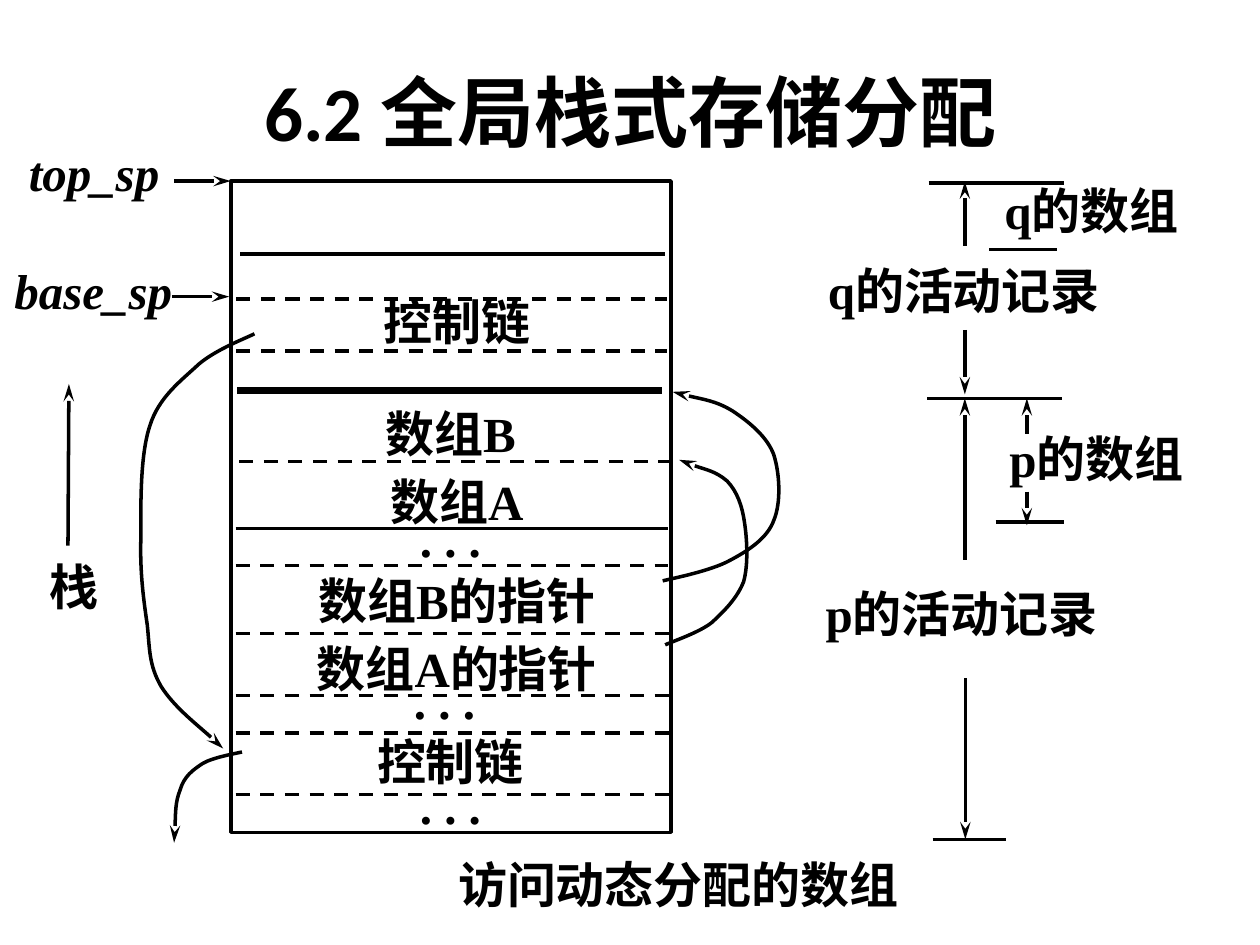
import pptx
import pptx.dml.color
import pptx.enum.dml
import pptx.enum.shapes
import pptx.enum.text
import pptx.oxml
import pptx.oxml.ns
import pptx.util
from pptx.util import Cm

BLACK = pptx.dml.color.RGBColor(0x00, 0x00, 0x00)
WHITE = pptx.dml.color.RGBColor(0xFF, 0xFF, 0xFF)
DRAWING_SPACE = pptx.oxml.ns.nsdecls("a")


def write_span(para, text, font="Times New Roman", size=28, bold=True, italic=False):
    span = para.add_run()
    span.text = text
    span.font.name = font
    span.font.size = pptx.util.Pt(size)
    span.font.bold = bold
    span.font.italic = italic
    span.font.color.rgb = BLACK


def bend(shape):
    """Turn each three straight steps of an outline into one cubic curve."""
    steps = list(shape.element.iter(pptx.oxml.ns.qn("a:lnTo")))
    for first in range(0, len(steps), 3):
        cubic = pptx.oxml.parse_xml(f"<a:cubicBezTo {DRAWING_SPACE}/>")
        steps[first].addprevious(cubic)
        for step in steps[first:first + 3]:
            cubic.append(step[0])
            step.getparent().remove(step)


class StackPage:
    """Holds the line style and the current slide; all lengths are centimetres."""

    line_width = 2
    label_insets = (0.25, 0.23, 0.25, 0.13)

    def __init__(self, deck):
        self.page = deck.slides.add_slide(deck.slide_layouts[6])
        self.page.background.fill.solid()
        self.page.background.fill.fore_color.rgb = WHITE
        self.shapes = self.page.shapes

    def start_group(self):
        self.shapes = self.page.shapes.add_group_shape().shapes

    def stroke(self, item, width=None, dashed=False, arrow=False):
        item.line.color.rgb = BLACK
        item.line.width = pptx.util.Pt(width or self.line_width)
        if dashed:
            item.line.dash_style = pptx.enum.dml.MSO_LINE.DASH
        if arrow:
            outline = item.element.spPr.find(pptx.oxml.ns.qn("a:ln"))
            outline.append(pptx.oxml.parse_xml(
                f'<a:tailEnd {DRAWING_SPACE} type="stealth" w="med" len="lg"/>'))

    def line(self, x1, y1, x2, y2, **style):
        connector = self.shapes.add_connector(
            pptx.enum.shapes.MSO_CONNECTOR.STRAIGHT, Cm(x1), Cm(y1), Cm(x2), Cm(y2))
        self.stroke(connector, **style)
        connector.element.spPr.append(
            pptx.oxml.parse_xml(f"<a:effectLst {DRAWING_SPACE}/>"))

    def curve(self, start, *segments):
        builder = self.shapes.build_freeform(Cm(start[0]), Cm(start[1]))
        builder.add_line_segments(
            [(Cm(x), Cm(y)) for segment in segments for x, y in segment], close=False)
        shape = builder.convert_to_shape()
        bend(shape)
        shape.fill.background()
        shape.shadow.inherit = False
        self.stroke(shape, arrow=True)

    def frame(self, left, top, width, height):
        shape = self.shapes.add_shape(
            pptx.enum.shapes.MSO_SHAPE.RECTANGLE, Cm(left), Cm(top), Cm(width), Cm(height))
        shape.fill.background()
        shape.shadow.inherit = False
        self.stroke(shape)

    def label(self, text, left, top, width, height=1.37, insets=label_insets,
              anchor=pptx.enum.text.MSO_ANCHOR.TOP, **style):
        box = self.shapes.add_textbox(Cm(left), Cm(top), Cm(width), Cm(height))
        frame = box.text_frame
        frame.word_wrap = True
        frame.vertical_anchor = anchor
        (frame.margin_left, frame.margin_top,
         frame.margin_right, frame.margin_bottom) = map(Cm, insets)
        para = frame.paragraphs[0]
        para.alignment = pptx.enum.text.PP_ALIGN.CENTER
        write_span(para, text, **style)
        return para


def main():
    deck = pptx.Presentation()
    deck.slide_width, deck.slide_height = Cm(25.4), Cm(19.05)
    page = StackPage(deck)

    # Title and caption
    plain_insets = (0.25, 0.13, 0.25, 0.13)
    page.label("6.2 全局栈式存储分配", 0.43, 0.64, 24.56, 3.18, insets=plain_insets,
               anchor=pptx.enum.text.MSO_ANCHOR.MIDDLE, font="Calibri", size=44)
    page.label("访问动态分配的数组", 5.05, 17.09, 17.25, 1.42, insets=plain_insets)

    # Activation records: limits, labels and extent arrows
    page.start_group()
    for left, right, y in ((19.94, 21.31, 5.03), (18.8, 20.27, 16.92),
                           (18.69, 21.41, 8.03), (18.72, 21.44, 3.69),
                           (20.07, 21.44, 10.52)):
        page.line(left, y, right, y)
    for text, left, top, width in (("q的数组", 19.56, 3.4, 4.88),
                                   ("q的活动记录", 16.33, 5.03, 6.2),
                                   ("p的数组", 19.58, 8.41, 5.05),
                                   ("p的活动记录", 16.31, 11.53, 6.15)):
        page.label(text, left, top, width)
    for x, start, end in ((19.45, 6.65, 7.95), (19.46, 13.67, 16.92),
                          (20.7, 9.91, 10.59), (19.45, 11.28, 8.03),
                          (20.7, 8.74, 8.03), (19.45, 4.95, 3.66)):
        page.line(x, start, x, end, arrow=True)

    # Stack frame and its dividers
    page.start_group()
    page.frame(4.66, 3.65, 8.87, 13.13)
    for left, right, y in ((4.76, 13.44, 6.03), (4.76, 13.44, 7.08),
                           (4.82, 13.49, 9.3), (4.75, 13.46, 11.4),
                           (4.75, 13.54, 12.77), (4.75, 13.54, 14.02),
                           (4.75, 13.54, 14.78), (4.75, 13.54, 16.02)):
        page.line(left, y, right, y, dashed=True)
    page.line(4.84, 5.12, 13.41, 5.12)
    page.line(4.78, 7.88, 13.34, 7.88, width=4)
    page.line(4.75, 10.65, 13.46, 10.65)

    # Stack contents
    for text, left, top in (("控制链", 4.75, 5.64), ("数组B", 4.62, 7.9),
                            ("数组A", 4.75, 9.27), (". . .", 4.62, 10.03),
                            ("数组B的指针", 4.75, 11.28), ("数组A的指针", 4.75, 12.65),
                            (". . .", 4.5, 13.28), ("控制链", 4.62, 14.52),
                            (". . .", 4.62, 15.4)):
        page.label(text, left, top, 8.92)

    # Stack pointers and growth direction
    for text, left, top, width in (("top_sp", 0.25, 2.64, 3.38),
                                   ("base_sp", 0, 5.03, 3.76)):
        para = page.label(text, left, top, width, italic=True)
        write_span(para, " ", size=10, bold=False, italic=True)
    page.line(3.51, 3.65, 4.65, 3.65, arrow=True)
    page.line(3.47, 5.98, 4.62, 5.98, arrow=True)
    page.label("栈", 0.48, 10.98, 2.01)
    page.line(1.37, 11, 1.39, 7.74, arrow=True)

    # Control links
    page.curve((5.13, 6.73),
               ((4.93, 6.83), (4.37, 7.04), (4.01, 7.34)),
               ((3.66, 7.67), (3.2, 8), (3.02, 8.59)),
               ((2.82, 9.19), (2.84, 10.21), (2.84, 10.87)),
               ((2.82, 11.56), (2.9, 12.12), (2.97, 12.6)),
               ((3.02, 13.08), (3, 13.41), (3.25, 13.84)),
               ((3.51, 14.25), (4.24, 14.83), (4.5, 15.09)))
    page.curve((4.88, 15.16),
               ((4.75, 15.19), (4.29, 15.27), (4.09, 15.39)),
               ((3.89, 15.52), (3.71, 15.65), (3.63, 15.93)),
               ((3.53, 16.18), (3.53, 16.76), (3.51, 16.99)))

    # Array pointers
    page.curve((13.41, 13),
               ((13.56, 12.93), (14.1, 12.75), (14.35, 12.55)),
               ((14.6, 12.32), (14.86, 12.06), (14.99, 11.73)),
               ((15.09, 11.38), (15.06, 10.87), (15.01, 10.54)),
               ((14.96, 10.19), (14.86, 9.91), (14.66, 9.7)),
               ((14.43, 9.5), (13.89, 9.37), (13.69, 9.27)))
    page.curve((13.36, 11.71),
               ((13.56, 11.66), (14.33, 11.51), (14.71, 11.3)),
               ((15.09, 11.1), (15.47, 10.85), (15.6, 10.49)),
               ((15.75, 10.13), (15.72, 9.55), (15.6, 9.17)),
               ((15.47, 8.81), (15.11, 8.51), (14.76, 8.28)),
               ((14.43, 8.08), (13.82, 7.98), (13.56, 7.9)))

    deck.save("out.pptx")


if __name__ == "__main__":
    main()
